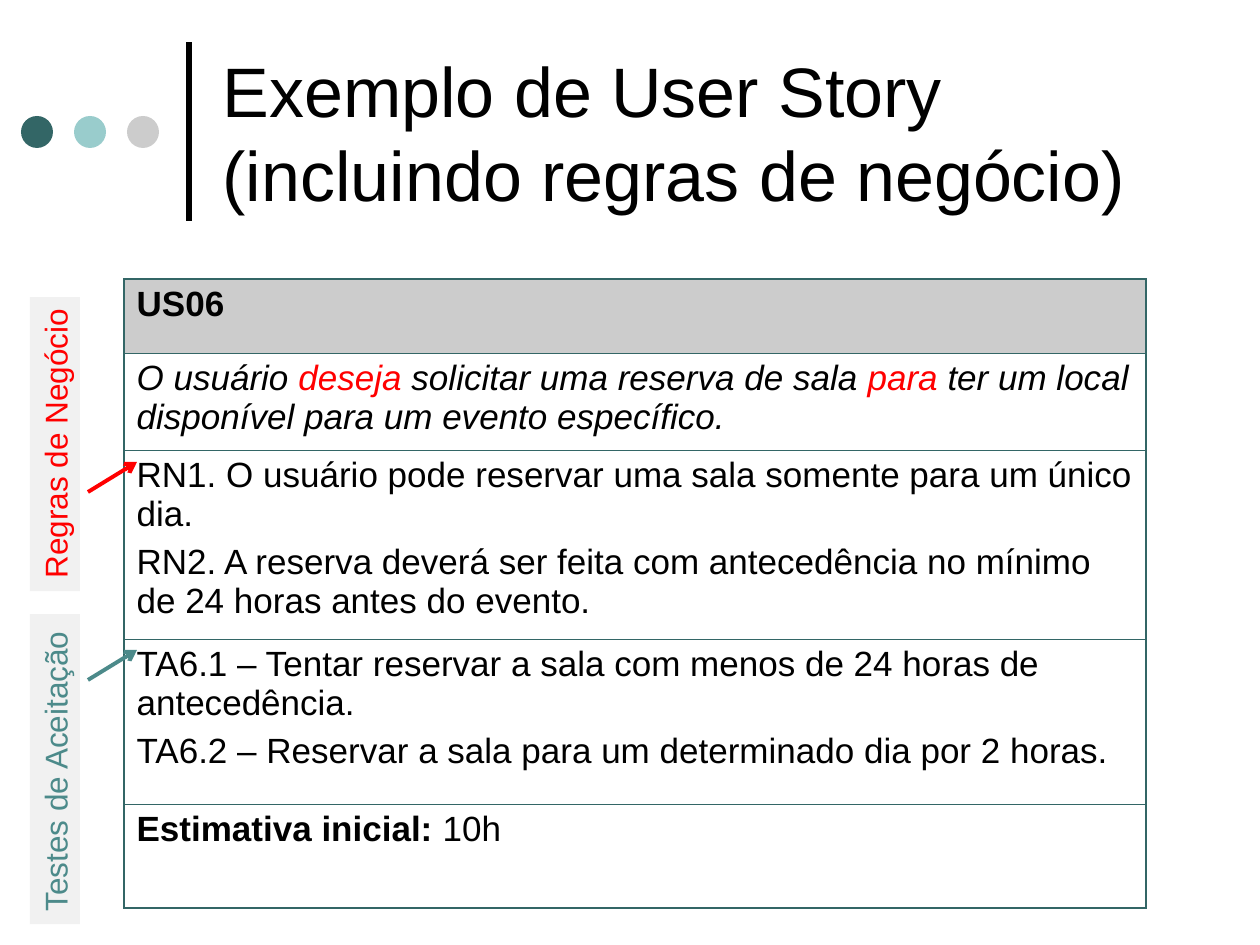
from lxml import etree
from pptx import Presentation
from pptx import util as u
from pptx.dml.color import RGBColor
from pptx.enum import shapes, text
from pptx.oxml.ns import qn

PX = 914400 / 126
FONT = "Arial"
COLORS = {
    "black": "000000", "red": "FF0000", "teal": "336666", "mint": "99CCCC",
    "gray": "CCCCCC", "pale": "F1F1F1", "sea": "4C8A8A",
}
# Each row: height, paragraphs; each paragraph: runs of (text, style words).
STORY_ROWS = [
    (74, [[("US06", "bold")]]),
    (97, [[("O usuário", "italic"), (" deseja", "italic red"),
           (" solicitar uma reserva de sala ", "italic"), ("para", "italic red"),
           (" ter um local disponível para um evento específico.", "italic")]]),
    (189, [[("RN1. O usuário pode reservar uma sala somente para um único dia.", "")],
           [("RN2. A reserva deverá ser feita com antecedência no mínimo "
             "de 24 horas antes do evento.", "")]]),
    (165, [[("TA6.1 – Tentar reservar a sala com menos de 24 horas de antecedência.", "")],
           [("TA6.2 – Reservar a sala para um determinado dia por 2 horas.", "")]]),
    (104, [[("Estimativa inicial:", "bold"), (" 10h", "")]]),
]


def px(length):
    return u.Emu(round(length * PX))


def color(name):
    return RGBColor.from_string(COLORS[name])


def set_font(font, size, color_name):
    font.name = FONT
    font.size = u.Pt(size)
    font.color.rgb = color(color_name)


def add_plain_shape(slide, kind, left, top, width, height, fill):
    shape = slide.shapes.add_shape(kind, px(left), px(top), px(width), px(height))
    shape.shadow.inherit = False
    shape.fill.solid()
    shape.fill.fore_color.rgb = color(fill)
    shape.line.fill.background()
    return shape


def add_line(slide, start, end, color_name, width, arrow=False):
    line = slide.shapes.add_connector(
        shapes.MSO_CONNECTOR.STRAIGHT, *map(px, start), *map(px, end))
    line.line.color.rgb = color(color_name)
    line.line.width = u.Pt(width)
    properties = line.element.spPr
    if arrow:
        etree.SubElement(properties.find(qn("a:ln")), qn("a:tailEnd"), type="arrow")
    etree.SubElement(properties, qn("a:effectLst"))


def add_header(slide, left, top, width, height):
    for index, name in enumerate(("teal", "mint", "gray")):
        add_plain_shape(slide, shapes.MSO_SHAPE.OVAL,
                        left + 53 * index, top + 89, 32, 32, name)
    add_line(slide, (left + 168, top + 194), (left + 168, top + 15), "black", 3)

    title = slide.shapes.title
    title.left, title.top = px(left + 189), px(top)
    title.width, title.height = px(width - 189), px(height)
    frame = title.text_frame
    frame.text = "Exemplo de User Story (incluindo regras de negócio)"
    frame.word_wrap = True
    frame.auto_size = text.MSO_AUTO_SIZE.NONE
    frame.vertical_anchor = text.MSO_ANCHOR.MIDDLE
    paragraph = frame.paragraphs[0]
    paragraph.alignment = text.PP_ALIGN.LEFT
    set_font(paragraph.font, 40, "black")


def set_borders(cell, is_first, is_last):
    """Thin rules between rows, a thicker frame around the table."""
    widths = {"L": 1.08, "R": 1.08,
              "T": 1.08 if is_first else 0.45, "B": 1.08 if is_last else 0.45}
    properties = cell._tc.get_or_add_tcPr()
    for position, (side, width) in enumerate(widths.items()):
        border = etree.Element(qn(f"a:ln{side}"), w=str(u.Pt(width)))
        fill = etree.SubElement(border, qn("a:solidFill"))
        etree.SubElement(fill, qn("a:srgbClr"), val=COLORS["teal"])
        properties.insert(position, border)


def fill_cell(cell, paragraphs):
    frame = cell.text_frame
    for index, runs in enumerate(paragraphs):
        paragraph = frame.add_paragraph() if index else frame.paragraphs[0]
        paragraph.space_before = u.Pt(5)
        for words, style in runs:
            run = paragraph.add_run()
            run.text = words
            set_font(run.font, 20, "red" if "red" in style else "black")
            run.font.bold = "bold" in style
            run.font.italic = "italic" in style


def add_story_table(slide, left, top, width):
    height = sum(row[0] for row in STORY_ROWS)
    table = slide.shapes.add_table(
        len(STORY_ROWS), 1, px(left), px(top), px(width), px(height)).table
    table.first_row = table.horz_banding = False
    last = len(STORY_ROWS) - 1
    for index, (row_height, paragraphs) in enumerate(STORY_ROWS):
        table.rows[index].height = px(row_height)
        cell = table.cell(index, 0)
        fill_cell(cell, paragraphs)
        if index == 0:
            cell.fill.solid()
            cell.fill.fore_color.rgb = color("gray")
        else:
            cell.fill.background()
        set_borders(cell, index == 0, index == last)


def add_side_label(slide, left, top, width, height, words, color_name, arrow_top):
    """A label read from bottom to top, with an arrow towards its table row."""
    label = add_plain_shape(
        slide, shapes.MSO_SHAPE.RECTANGLE, left + (width - height) / 2,
        top + (height - width) / 2, height, width, "pale")
    label.rotation = 270
    frame = label.text_frame
    frame.text = words
    frame.word_wrap = False
    frame.vertical_anchor = text.MSO_ANCHOR.TOP
    paragraph = frame.paragraphs[0]
    paragraph.alignment = text.PP_ALIGN.LEFT
    set_font(paragraph.font, 18, color_name)
    start = left + width + 8
    add_line(slide, (start, arrow_top + 30), (start + 49, arrow_top),
             color_name, 2.25, arrow=True)


def main():
    presentation = Presentation()
    presentation.slide_width, presentation.slide_height = px(1260), px(945)
    slide = presentation.slides.add_slide(presentation.slide_layouts[5])
    add_header(slide, 21, 27, 1155, 210)
    add_story_table(slide, 124, 279, 1022)
    add_side_label(slide, 30, 297, 50, 294, "Regras de Negócio", "red", 462)
    add_side_label(slide, 30, 614, 50, 310, "Testes de Aceitação", "sea", 650)
    presentation.save("out.pptx")


if __name__ == "__main__":
    main()
